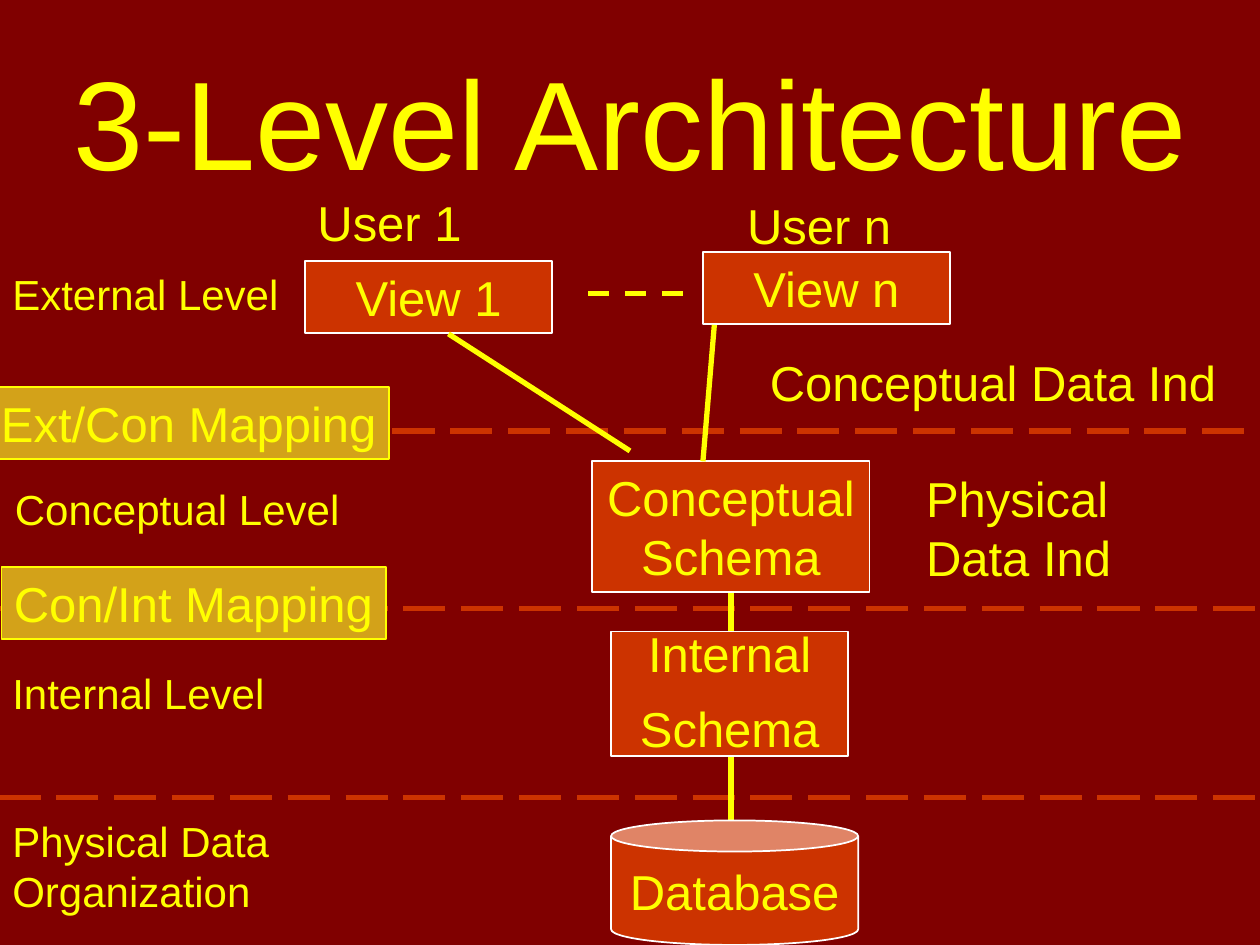
from lxml import etree
from pptx import Presentation
from pptx.dml.color import RGBColor
from pptx.enum.dml import MSO_LINE_DASH_STYLE as Dash
from pptx.enum.shapes import MSO_CONNECTOR as Link, MSO_SHAPE as Kind
from pptx.enum.text import MSO_ANCHOR as Anchor, PP_ALIGN as Align
from pptx.oxml.ns import qn
from pptx.util import Cm, Pt

YELLOW, WHITE = "FFFF00", "FFFFFF"
MAROON, ORANGE, GOLD = "800000", "CC3300", "D3A219"
ROW = 1.45  # height of a one-line box, in cm


def color(code):
    return RGBColor.from_string(code)


def write(shape, text, size=28, align=Align.LEFT, anchor=Anchor.TOP,
          wrap=True, spacing=None, before=0):
    frame = shape.text_frame
    frame.word_wrap = wrap
    frame.vertical_anchor = anchor
    for index, words in enumerate(text.split("\n")):
        para = frame.add_paragraph() if index else frame.paragraphs[0]
        para.alignment = align
        para.space_before = Pt(before)
        if spacing:
            para.line_spacing = spacing
        span = para.add_run()
        span.text = words
        span.font.name = "Arial"
        span.font.size = Pt(size)
        span.font.color.rgb = color(YELLOW)


def add_label(page, box, text, **style):
    write(page.shapes.add_textbox(*map(Cm, box)), text, **style)


def add_block(page, box, text, kind=Kind.RECTANGLE, fill=ORANGE, border=WHITE,
              align=Align.CENTER, **style):
    block = page.shapes.add_shape(kind, *map(Cm, box))
    block.shadow.inherit = False
    block.fill.solid()
    block.fill.fore_color.rgb = color(fill)
    block.line.color.rgb = color(border)
    block.line.width = Pt(1)
    write(block, text, align=align, **style)


def add_line(page, start, end, stroke=YELLOW, dash=None):
    line = page.shapes.add_connector(Link.STRAIGHT, *map(Cm, start + end))
    etree.SubElement(line._element.spPr, qn("a:effectLst"))
    line.line.color.rgb = color(stroke)
    line.line.width = Pt(3)
    if dash:
        line.line.dash_style = dash


def draw_title(page, box):
    add_label(page, box, "3-Level Architecture", size=72,
              align=Align.CENTER, anchor=Anchor.MIDDLE)


def draw_levels(page, box):
    left, top, width, _ = box
    # Names of the levels
    for x, y, w, h, name in (
            (0, 0, 6.35, 1.27, "External Level"),
            (0.05, 4.35, 7.62, 1.27, "Conceptual Level"),
            (0, 8.06, 5.72, 1.27, "Internal Level"),
            (0, 11.03, 7.62, 2.29, "Physical Data Organization")):
        add_label(page, (left + x, top + y, w, h), name, size=24)
    # Dividers between the levels
    for x, y, end in ((-0.25, 3.41, 0), (-0.03, 6.99, 0.2), (-0.03, 10.8, 0.2)):
        add_line(page, (left + x, top + y), (left + width + end, top + y),
                 stroke=ORANGE, dash=Dash.LONG_DASH)
    # Mappings on the dividers
    for x, y, w, name in ((-0.23, 2.52, 8.08, "Ext/Con Mapping"),
                          (0.03, 6.15, 7.75, "Con/Int Mapping")):
        add_block(page, (left + x, top + y, w, ROW), name, fill=GOLD,
                  border=YELLOW, align=Align.LEFT, wrap=False)


def draw_schemas(page, box):
    left, top, width, _ = box
    middle = left + width / 2
    for start, end in ((2.36, 3.43), (5.97, 7.59)):
        add_line(page, (middle, top + start), (middle, top + end))
    add_block(page, (left, top, width, 2.64), "Conceptual Schema")
    add_block(page, (left + 0.38, top + 3.43, 4.78, 2.51), "Internal\nSchema",
              spacing=0.75, before=17.5)
    add_block(page, (left + 0.38, top + 7.24, 4.98, 2.51), "Database",
              kind=Kind.CAN, anchor=Anchor.MIDDLE, wrap=False)


def draw_views(page, box):
    left, top, _, height = box
    # Users and their views
    for x, y, user_x, user_y, name in ((0, 1.5, 0, 0, "1"),
                                       (8.02, 1.32, 8.66, 0.05, "n")):
        add_block(page, (left + x, top + y, 4.98, ROW), f"View {name}")
        add_label(page, (left + user_x, top + user_y, 3.61, ROW), f"User {name}")
    # Links down to the conceptual schema
    add_line(page, (left + 8.02, top + height), (left + 8.25, top + 2.79))
    add_line(page, (left + 6.55, top + 5.33), (left + 2.89, top + 2.97))
    # More views in between
    add_line(page, (left + 5.71, top + 2.16), (left + 7.62, top + 2.16),
             dash=Dash.DASH)


def draw_independence(page, box):
    left, top, width, _ = box
    add_label(page, (left, top, width, ROW), "Conceptual Data Ind")
    add_label(page, (left + 3.15, top + 2.33, 4.24, 2.64),
              "Physical\nData Ind", wrap=False)


deck = Presentation()
deck.slide_width, deck.slide_height = Cm(25.4), Cm(19.05)
page = deck.slides.add_slide(deck.slide_layouts[6])
page.background.fill.solid()
page.background.fill.fore_color.rgb = color(MAROON)

draw_title(page, (0, 0.84, 25.4, 3.18))
draw_levels(page, (0, 5.28, 25.4, 13.32))
draw_schemas(page, (11.94, 9.3, 5.59, 9.75))
draw_views(page, (6.15, 3.76, 13, 5.54))
draw_independence(page, (15.27, 6.99, 10.13, 4.97))

deck.save("out.pptx")
